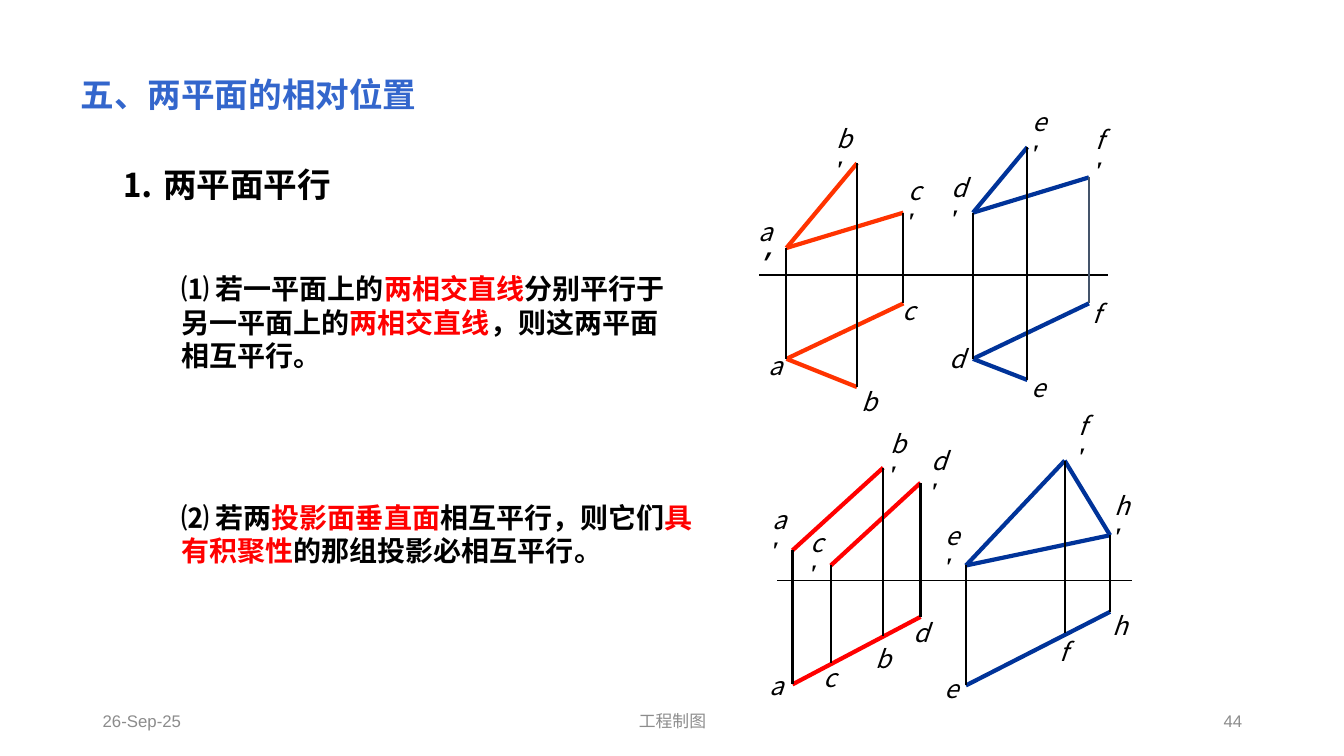
"""Build the slide on parallel planes with its two projection drawings."""
from dataclasses import dataclass

from lxml import etree
from pptx import Presentation
from pptx.dml import color as dml
from pptx.enum import shapes, text
from pptx.oxml import ns
from pptx.util import Inches, Pt

COLORS = {
    "grey": "8C8C8C", "title": "3366CC", "black": "000000", "highlight": "FF0000",
    "orange": "FF3300", "blue": "003399", "slate": "44546A",
}
SANS, SERIF, FOOTER_FONT = "Noto Sans CJK SC", "Times New Roman", "Arial"
LETTER_WIDTHS = {"c": 0.31, "e": 0.32, "f": 0.28}
PRIME_WIDTH = 0.06
LEFT, CENTER, RIGHT = text.PP_ALIGN.LEFT, text.PP_ALIGN.CENTER, text.PP_ALIGN.RIGHT

Position = tuple[float, float]


@dataclass(frozen=True)
class Run:
    words: str
    size: float
    color: str = "black"
    font: str = SANS
    bold: bool = False
    italic: bool = False


@dataclass(frozen=True)
class TextBlock:
    left: float
    top: float
    width: float
    height: float
    runs: list[Run]
    wrap: bool = True
    alignment: text.PP_ALIGN = LEFT


@dataclass(frozen=True)
class Vertex:
    letter: str
    x: float
    front_y: float
    plan_y: float
    front_label: Position
    plan_label: Position
    color: str = "black"
    weight: float = 1.5
    prime_font: str = SERIF


@dataclass(frozen=True)
class Edges:
    color: str
    front: list[str]
    plan: list[str]


@dataclass(frozen=True)
class Drawing:
    axis: tuple[Position, Position]
    axis_weight: float
    vertices: list[Vertex]
    edges: list[Edges]


def body(*pieces: tuple[str, str]) -> list[Run]:
    return [Run(words, 20, color, bold=True) for words, color in pieces]


TEXT_BLOCKS = [
    *(TextBlock(left, 6.95, width, 0.4, [Run(words, 12, "grey", FOOTER_FONT)], alignment=alignment)
      for left, width, words, alignment in [
          (0.92, 3, "26-Sep-25", LEFT), (4.42, 4.5, "工程制图", CENTER), (9.42, 3, "44", RIGHT)]),
    TextBlock(0.7, 0.68, 3.57, 0.5, [Run("五、两平面的相对位置", 24, "title", bold=True)], wrap=False),
    TextBlock(1.11, 1.58, 2.3, 0.5, [Run("⒈ 两平面平行", 24, bold=True)], wrap=False),
    TextBlock(1.7, 2.64, 5.12, 1.11, body(
        ("⑴ 若一平面上的", "black"), ("两相交直线", "highlight"),
        ("分别平行于另一平面上的", "black"), ("两相交直线", "highlight"),
        ("，则这两平面相互平行。", "black"))),
    TextBlock(1.7, 4.91, 5.33, 0.77, body(
        ("⑵ 若两", "black"), ("投影面垂直面", "highlight"), ("相互平行，则它们", "black"),
        ("具有积聚性", "highlight"), ("的那组投影必相互平行。", "black"))),
]

DRAWINGS = [
    Drawing(
        ((7.53, 2.73), (10.99, 2.73)), 1.5,
        [
            Vertex("a", 7.8, 2.46, 3.56, (7.42, 2.25), (7.52, 3.43), prime_font=SANS),
            Vertex("b", 8.5, 1.62, 3.84, (8.2, 1.32), (8.45, 3.78)),
            Vertex("c", 8.96, 2.11, 3.01, (8.91, 1.84), (8.85, 2.88)),
            Vertex("d", 9.65, 2.11, 3.56, (9.34, 1.81), (9.32, 3.36)),
            Vertex("e", 10.19, 1.46, 3.77, (10.14, 1.16), (10.13, 3.64)),
            Vertex("f", 10.8, 1.76, 3.01, (10.77, 1.33), (10.74, 2.91), color="slate"),
        ],
        [Edges("orange", ["ab", "ac"], ["ab", "ac"]), Edges("blue", ["de", "df"], ["de", "df"])],
    ),
    Drawing(
        ((7.71, 5.76), (11.23, 5.76)), 1,
        [
            Vertex("a", 7.86, 5.46, 6.79, (7.56, 5.1), (7.53, 6.6), weight=2.25),
            Vertex("b", 8.76, 4.64, 6.31, (8.73, 4.35), (8.59, 6.33)),
            Vertex("c", 8.24, 5.61, 6.58, (7.94, 5.33), (8.07, 6.52)),
            Vertex("d", 9.13, 4.79, 6.12, (9.14, 4.52), (8.96, 6.07)),
            Vertex("e", 9.58, 5.61, 6.8, (9.28, 5.26), (9.27, 6.63)),
            Vertex("f", 10.56, 4.57, 6.28, (10.6, 4.17), (10.41, 6.26)),
            Vertex("h", 11.01, 5.31, 6.07, (10.96, 4.96), (10.94, 6)),
        ],
        [Edges("highlight", ["ab", "cd"], ["ad"]), Edges("blue", ["ef", "eh", "fh"], ["eh"])],
    ),
]


def rgb(name: str) -> dml.RGBColor:
    return dml.RGBColor.from_string(COLORS[name])


def add_text(container, block: TextBlock) -> None:
    box = container.add_textbox(
        Inches(block.left), Inches(block.top), Inches(block.width), Inches(block.height))
    frame = box.text_frame
    frame.word_wrap = block.wrap
    frame.vertical_anchor = text.MSO_ANCHOR.MIDDLE
    paragraph = frame.paragraphs[0]
    paragraph.alignment = block.alignment
    for piece in block.runs:
        run = paragraph.add_run()
        run.text = piece.words
        font = run.font
        font.size, font.bold, font.italic = Pt(piece.size), piece.bold, piece.italic
        font.color.rgb = rgb(piece.color)
        font.name = piece.font
        properties = run._r.get_or_add_rPr()
        etree.SubElement(properties, ns.qn("a:ea"), typeface=piece.font)


def add_line(container, start: Position, end: Position, color: str, weight: float) -> None:
    line = container.add_connector(
        shapes.MSO_CONNECTOR.STRAIGHT, *(Inches(value) for value in (*start, *end)))
    line.line.color.rgb = rgb(color)
    line.line.width = Pt(weight)
    etree.SubElement(line._element.spPr, ns.qn("a:effectLst"))


def add_label(container, vertex: Vertex, primed: bool) -> None:
    left, top = vertex.front_label if primed else vertex.plan_label
    width = LETTER_WIDTHS.get(vertex.letter, 0.33)
    runs = [Run(vertex.letter, 18, italic=True)]
    if primed:
        width += PRIME_WIDTH
        runs.append(Run("′", 18, font=vertex.prime_font, bold=True, italic=True))
    add_text(container, TextBlock(left, top, width, 0.4, runs, wrap=primed))


def add_drawing(slide, drawing: Drawing) -> None:
    container = slide.shapes.add_group_shape().shapes
    front = {vertex.letter: (vertex.x, vertex.front_y) for vertex in drawing.vertices}
    plan = {vertex.letter: (vertex.x, vertex.plan_y) for vertex in drawing.vertices}
    add_line(container, *drawing.axis, "black", drawing.axis_weight)
    for edges in drawing.edges:
        for view, pairs in ((front, edges.front), (plan, edges.plan)):
            for start, end in pairs:
                add_line(container, view[start], view[end], edges.color, 3)
    for vertex in drawing.vertices:
        add_line(container, front[vertex.letter], plan[vertex.letter], vertex.color, vertex.weight)
        for primed in (True, False):
            add_label(container, vertex, primed)


def main() -> None:
    presentation = Presentation()
    presentation.slide_width, presentation.slide_height = Inches(13.33), Inches(7.5)
    slide = presentation.slides.add_slide(presentation.slide_layouts[6])
    for block in TEXT_BLOCKS:
        add_text(slide.shapes, block)
    for drawing in DRAWINGS:
        add_drawing(slide, drawing)
    presentation.save("out.pptx")


if __name__ == "__main__":
    main()
